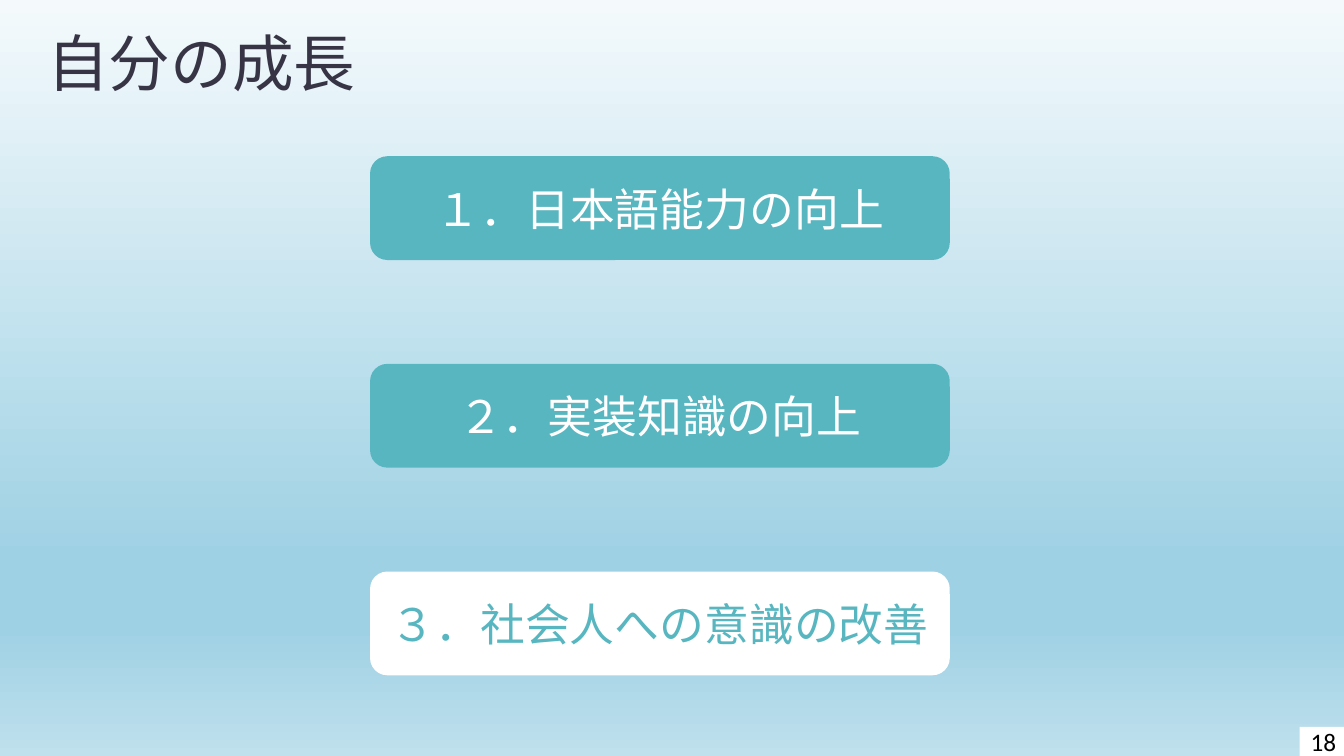
import copy

import pptx
import pptx.dml.color
import pptx.enum.shapes
import pptx.enum.text
import pptx.oxml
import pptx.oxml.ns
import pptx.util

WIDTH, HEIGHT = 13.33, 7.5
TEAL, WHITE, BLACK, INK = "58B6C0", "FFFFFF", "000000", "373545"
LATIN_FONT, JAPANESE_FONT = "Calibri", "Noto Sans CJK JP"
SKY_STOPS = [(0, "F4FAFC"), (0.74, "9FD1E4"), (0.83, "9FD1E4"), (1, "BFE0ED")]
GROWTH_POINTS = [
    ("１．日本語能力の向上", TEAL, WHITE),
    ("２．実装知識の向上", TEAL, WHITE),
    ("３．社会人への意識の改善", WHITE, TEAL),
]


def color(hex_text):
    """Turn a hex string into a colour."""
    return pptx.dml.color.RGBColor.from_string(hex_text)


def inches(box):
    """Turn left, top, width and height in inches into lengths."""
    return [pptx.util.Inches(length) for length in box]


def write(shape, text, size, hex_text, font_name=LATIN_FONT):
    """Put one formatted line of text into a shape."""
    shape.text_frame.text = text
    paragraph = shape.text_frame.paragraphs[0]
    font = paragraph.runs[0].font
    font.name = font_name
    font.size = pptx.util.Pt(size)
    font.color.rgb = color(hex_text)
    east_asian = pptx.oxml.parse_xml(
        f'<a:ea {pptx.oxml.ns.nsdecls("a")} typeface="{JAPANESE_FONT}"/>')
    font._element.find(pptx.oxml.ns.qn("a:latin")).addnext(east_asian)
    return paragraph


def paint_sky(slide):
    """Fill the background with a vertical gradient."""
    fill = slide.background.fill
    fill.gradient()
    fill.gradient_angle = 270
    stop_list = slide.element.find(".//" + pptx.oxml.ns.qn("a:gsLst"))
    while len(stop_list) < len(SKY_STOPS):
        stop_list.append(copy.deepcopy(stop_list[0]))
    for stop, (position, hex_text) in zip(fill.gradient_stops, SKY_STOPS):
        stop.position = position
        stop.color.rgb = color(hex_text)


def add_title(slide, box, text):
    """Add the heading, resting on the bottom of its box."""
    title = slide.shapes.add_textbox(*inches(box))
    paragraph = write(title, text, 44, INK, JAPANESE_FONT)
    paragraph.line_spacing = 0.8
    title.text_frame.vertical_anchor = pptx.enum.text.MSO_ANCHOR.BOTTOM


def add_panel(slide, kind, box, text, size, fill_hex, text_hex):
    """Add a filled shape with centred text."""
    panel = slide.shapes.add_shape(kind, *inches(box))
    panel.shadow.inherit = False
    panel.fill.solid()
    panel.fill.fore_color.rgb = color(fill_hex)
    panel.line.fill.background()
    paragraph = write(panel, text, size, text_hex)
    paragraph.alignment = pptx.enum.text.PP_ALIGN.CENTER
    panel.text_frame.vertical_anchor = pptx.enum.text.MSO_ANCHOR.MIDDLE


def add_growth_points(slide, box):
    """Spread the rounded panels evenly from top to bottom of the box."""
    left, top, width, height = box
    panel_height = height / 5
    step = (height - panel_height) / (len(GROWTH_POINTS) - 1)
    for row, (text, fill_hex, text_hex) in enumerate(GROWTH_POINTS):
        panel_box = (left, top + row * step, width, panel_height)
        add_panel(slide, pptx.enum.shapes.MSO_SHAPE.ROUNDED_RECTANGLE,
                  panel_box, text, 32, fill_hex, text_hex)


def main():
    """Build and save the slide."""
    presentation = pptx.Presentation()
    presentation.slide_width = pptx.util.Inches(WIDTH)
    presentation.slide_height = pptx.util.Inches(HEIGHT)
    slide = presentation.slides.add_slide(presentation.slide_layouts[6])
    paint_sky(slide)
    add_title(slide, (0.37, 0.26, 3.31, 0.77), "自分の成長")
    add_growth_points(slide, (3.67, 1.55, 5.75, 5.15))
    add_panel(slide, pptx.enum.shapes.MSO_SHAPE.RECTANGLE,
              (12.89, 7.21, 0.47, 0.29), "18", 18, WHITE, BLACK)
    presentation.save("out.pptx")


if __name__ == "__main__":
    main()
